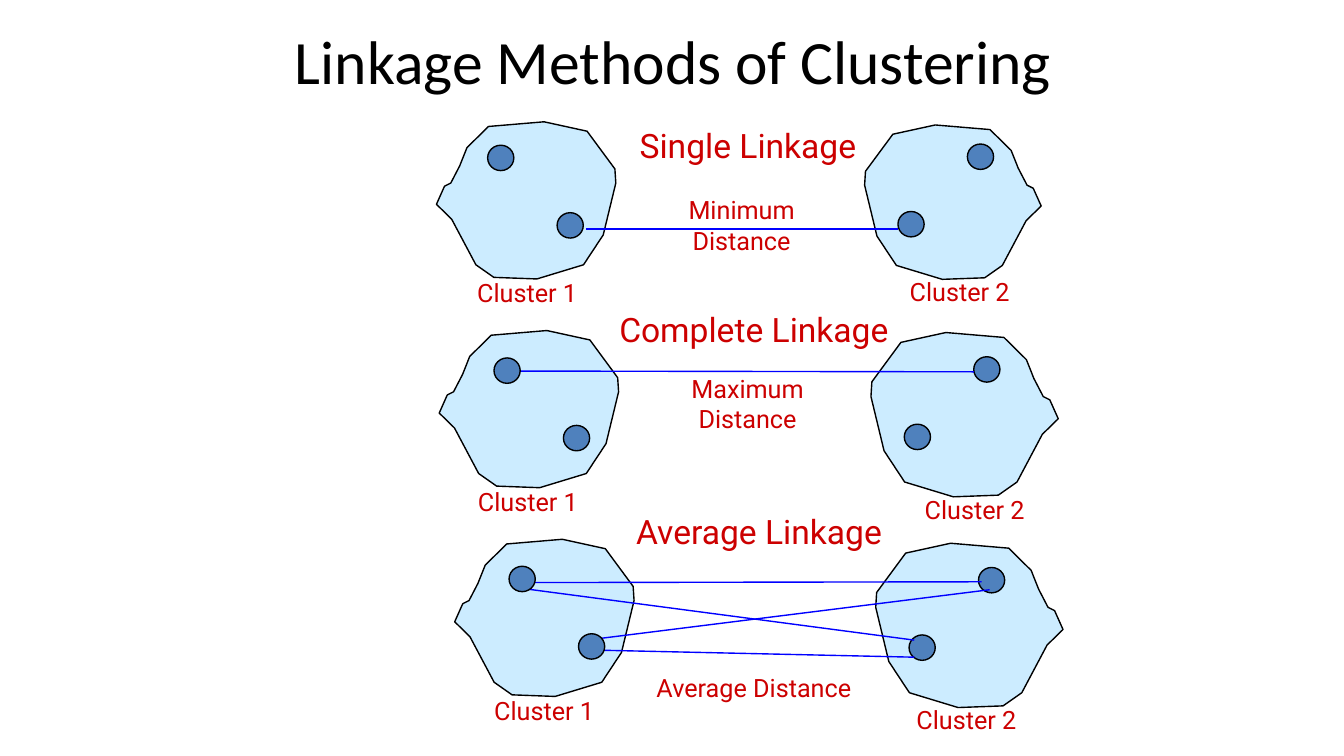
from lxml import etree
from pptx import Presentation
from pptx.dml.color import RGBColor
from pptx.enum import shapes, text
from pptx.oxml.ns import qn
from pptx.util import Cm, Pt

# Content: all lengths are in centimetres
TITLE = "Linkage Methods of Clustering"
COLORS = {"title": "000000", "label": "CC0000", "cluster": "CCECFF",
          "point": "4F81BD", "outline": "000000", "link": "0000FF"}

# Each cluster: box (left, top, width, height), upper point, label position
METHODS = [
    {"heading": ("Single Linkage", 13.87, 3.02),
     "distance": ("Minimum Distance", 15.84, 4.78),
     "clusters": [((11, 3.07, 4.52, 3.96), (12.29, 3.66), (11.33, 6.86)),
                  ((21.79, 3.15, 4.45, 3.89), (24.38, 3.63), (22.23, 6.83))],
     "links": [(14.78, 5.77, 22.63, 5.77)]},
    {"heading": ("Complete Linkage", 14.02, 7.67),
     "distance": ("Maximum Distance", 15.99, 9.27),
     "clusters": [((11.07, 8.33, 4.52, 3.96), (12.45, 9.02), (11.35, 12.12)),
                  ((21.95, 8.38, 4.72, 4.14), (24.54, 8.99), (22.61, 12.32))],
     "links": [(13, 9.35, 24.54, 9.37)]},
    {"heading": ("Average Linkage", 14.15, 12.75),
     "distance": ("Average Distance", 16.15, 16.81),
     "clusters": [((11.46, 13.59, 4.52, 3.96), (12.83, 14.27), (11.76, 17.4)),
                  ((22.07, 13.69, 4.72, 4.14), (24.66, 14.3), (22.4, 17.63))],
     "links": [(14.94, 16.38, 23.04, 16.56), (13.16, 14.68, 24.74, 14.66),
               (13.18, 14.83, 23.04, 16.13), (24.94, 14.86, 14.78, 16.13)]},
]

# Cluster outline in percent of its box; the second cluster is mirrored
OUTLINE = [(29, 3), (60, 0), (84, 6), (99.5, 30), (100, 39), (93, 72),
           (82, 91), (56, 100), (32, 99), (22, 91), (8.5, 62), (0, 52.5),
           (4.5, 41), (8, 39), (13, 28), (17, 16.5)]
POINT_SIZE = (0.66, 0.64)
LOWER_POINT_OFFSET = (1.75, 1.7)


def color(name):
    return RGBColor.from_string(COLORS[name])


def paint(shape, fill):
    shape.shadow.inherit = False
    shape.fill.solid()
    shape.fill.fore_color.rgb = color(fill)
    shape.line.color.rgb = color("outline")
    shape.line.width = Pt(1)


def add_cluster(slide, box, mirrored):
    left, top, width, height = box
    corners = [(Cm(left + width * (100 - x if mirrored else x) / 100),
                Cm(top + height * y / 100)) for x, y in OUTLINE]
    builder = slide.shapes.build_freeform(*corners[0], scale=1.0)
    builder.add_line_segments(corners[1:], close=True)
    paint(builder.convert_to_shape(), "cluster")


def add_points(slide, upper, mirrored):
    across, down = LOWER_POINT_OFFSET
    lower = (upper[0] + (-across if mirrored else across), upper[1] + down)
    for left, top in (upper, lower):
        point = slide.shapes.add_shape(
            shapes.MSO_SHAPE.OVAL, Cm(left), Cm(top), *map(Cm, POINT_SIZE))
        paint(point, "point")


def add_link(slide, ends):
    link = slide.shapes.add_connector(shapes.MSO_CONNECTOR.STRAIGHT, *map(Cm, ends))
    link.line.color.rgb = color("link")
    link.line.width = Pt(1)
    etree.SubElement(link._element.spPr, qn("a:effectLst"))


def add_label(slide, words, left, top, width, height, size):
    label = slide.shapes.add_textbox(Cm(left), Cm(top), Cm(width), Cm(height))
    label.text_frame.word_wrap = True
    paragraph = label.text_frame.paragraphs[0]
    paragraph.text = words
    paragraph.alignment = text.PP_ALIGN.CENTER
    paragraph.font.name = "Roboto"
    paragraph.font.size = Pt(size)
    paragraph.font.color.rgb = color("label")


def add_method(slide, method):
    # Clusters, then links above the second cluster's points
    first, second = method["clusters"]
    add_cluster(slide, first[0], False)
    add_cluster(slide, second[0], True)
    add_points(slide, second[1], True)
    for ends in method["links"]:
        add_link(slide, ends)
    add_points(slide, first[1], False)

    # Labels
    add_label(slide, *method["heading"], 9.96, 1.27, 24)
    add_label(slide, *method["distance"], 5.7, 1.02, 18)
    for number, (_, _, position) in enumerate(method["clusters"], 1):
        add_label(slide, f"Cluster {number}", *position, 3.91, 1.02, 18)


def main():
    presentation = Presentation()
    presentation.slide_width, presentation.slide_height = Cm(33.87), Cm(19.05)
    slide = presentation.slides.add_slide(presentation.slide_layouts[5])

    # Title
    title = slide.shapes.title
    title.left, title.top, title.width, title.height = map(Cm, (6.15, 0.43, 21.64, 2.18))
    title.text_frame.text = TITLE
    title.text_frame.auto_size = text.MSO_AUTO_SIZE.NONE
    title.text_frame.vertical_anchor = text.MSO_ANCHOR.MIDDLE
    paragraph = title.text_frame.paragraphs[0]
    paragraph.alignment = text.PP_ALIGN.CENTER
    paragraph.font.name = "Calibri"
    paragraph.font.size = Pt(44)
    paragraph.font.color.rgb = color("title")

    # Linkage methods
    for method in METHODS:
        add_method(slide, method)

    presentation.save("out.pptx")


if __name__ == "__main__":
    main()
